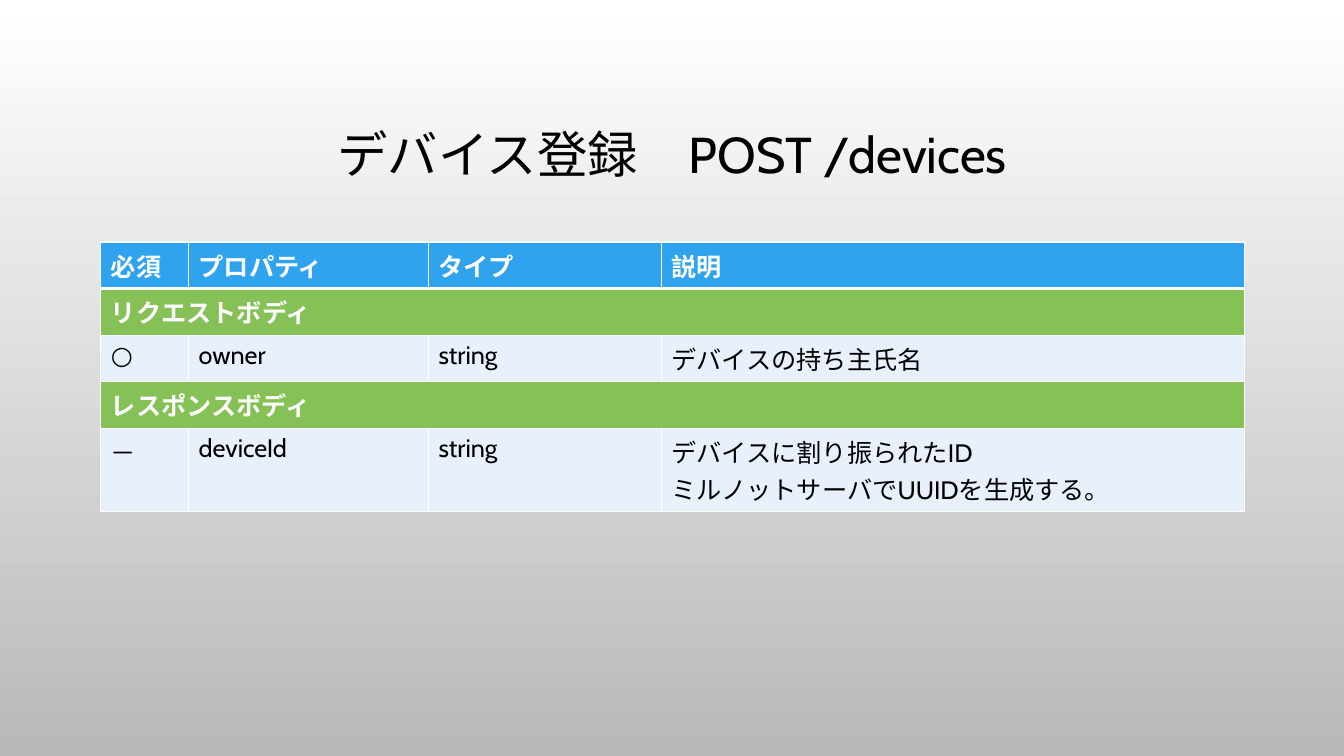
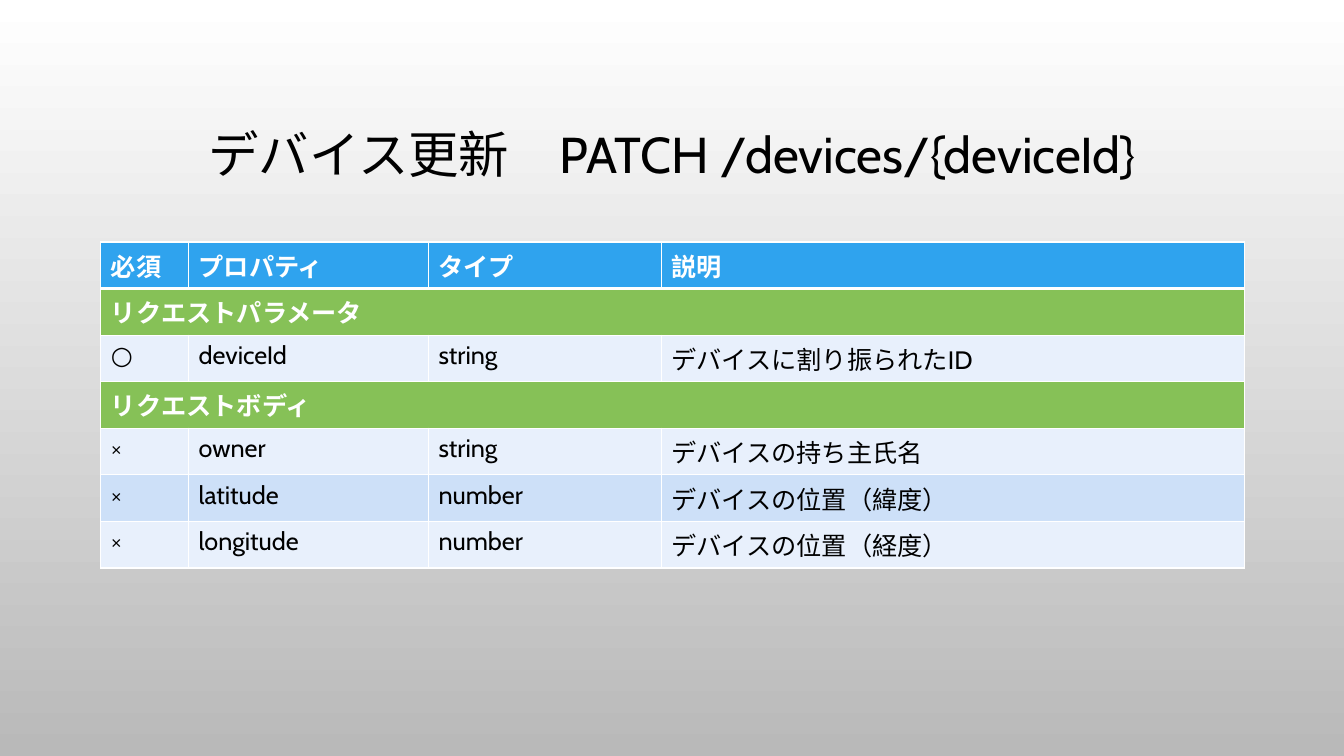
"""Build two API reference slides, each with a title and a property table."""
from dataclasses import dataclass

from pptx import Presentation
from pptx import util as u
from pptx.dml.color import RGBColor
from pptx.enum import text
from pptx.oxml import ns, xmlchemy

COLORS = {
    "top": "FFFFFF", "bottom": "B9B9B9", "ink": "000000", "white": "FFFFFF",
    "header": "2FA3EE", "section": "86C157", "light": "E8F0FC", "band": "CDE0F8",
}
FONT = "Cabin"
TITLE_SIZE = 36
TABLE_SIZE = 18
HEADINGS = ("必須", "プロパティ", "タイプ", "説明")
COLUMN_WIDTHS = (0.87, 2.38, 2.31, 5.78)
LEFT, WIDTH = 1, 11.33
TABLE_TOP, ROW_HEIGHT = 2.4, 0.41
THIN, THICK = 1, 3


@dataclass(frozen=True)
class Property:
    required: str
    name: str
    kind: str
    description: str


@dataclass(frozen=True)
class Section:
    heading: str
    properties: tuple[Property, ...]


@dataclass(frozen=True)
class Endpoint:
    title: str
    sections: tuple[Section, ...]


ENDPOINTS = (
    Endpoint("デバイス登録　POST /devices", (
        Section("リクエストボディ", (
            Property("○", "owner", "string", "デバイスの持ち主氏名"),
        )),
        Section("レスポンスボディ", (
            Property("－", "deviceId", "string",
                     "デバイスに割り振られたID\nミルノットサーバでUUIDを生成する。"),
        )),
    )),
    Endpoint("デバイス更新　PATCH /devices/{deviceId}", (
        Section("リクエストパラメータ", (
            Property("○", "deviceId", "string", "デバイスに割り振られたID"),
        )),
        Section("リクエストボディ", (
            Property("×", "owner", "string", "デバイスの持ち主氏名"),
            Property("×", "latitude", "number", "デバイスの位置（緯度）"),
            Property("×", "longitude", "number", "デバイスの位置（経度）"),
        )),
    )),
)


def rgb(name: str) -> RGBColor:
    return RGBColor.from_string(COLORS[name])


def style_background(deck) -> None:
    fill = deck.slide_master.background.fill
    fill.gradient()
    fill.gradient_angle = 270
    for stop, name in zip(fill.gradient_stops, ("top", "bottom")):
        stop.color.rgb = rgb(name)


def style_font(font, size: int, color: str, bold: bool = False) -> None:
    font.name = FONT
    font.size = u.Pt(size)
    font.bold = bold
    font.color.rgb = rgb(color)


def add_title(page, wording: str) -> None:
    box = page.shapes.title
    box.left, box.top = u.Inches(LEFT), u.Inches(0.68)
    box.width, box.height = u.Inches(WIDTH), u.Inches(1.75)
    frame = box.text_frame
    frame.text = wording
    frame.vertical_anchor = text.MSO_ANCHOR.MIDDLE
    frame.auto_size = text.MSO_AUTO_SIZE.NONE
    para = frame.paragraphs[0]
    para.alignment = text.PP_ALIGN.CENTER
    para.line_spacing = 0.9
    style_font(para.font, TITLE_SIZE, "ink")


def add_borders(cell, top: int, bottom: int) -> None:
    properties = cell._tc.get_or_add_tcPr()
    widths = {"a:lnL": THIN, "a:lnR": THIN, "a:lnT": top, "a:lnB": bottom}
    for tag, width in widths.items():
        line = xmlchemy.OxmlElement(tag)
        line.set("w", str(u.Pt(width)))
        fill = xmlchemy.OxmlElement("a:solidFill")
        color = xmlchemy.OxmlElement("a:srgbClr")
        color.set("val", COLORS["white"])
        fill.append(color)
        line.append(fill)
        properties.append(line)


def fill_row(table, index: int, wordings: tuple[str, ...], fill: str,
             emphasized: bool) -> None:
    top = THICK if index == 1 else THIN
    bottom = THICK if index == 0 else THIN
    for column in range(len(HEADINGS)):
        cell = table.cell(index, column)
        add_borders(cell, top, bottom)
        cell.fill.solid()
        cell.fill.fore_color.rgb = rgb(fill)
        if column < len(wordings):
            cell.text_frame.text = wordings[column]
        for para in cell.text_frame.paragraphs:
            style_font(para.font, TABLE_SIZE, "white" if emphasized else "ink", emphasized)
    if len(wordings) == 1:
        table.cell(index, 0).merge(table.cell(index, len(HEADINGS) - 1))


def add_property_table(page, sections: tuple[Section, ...]) -> None:
    rows = [(HEADINGS, "header", True)]
    for section in sections:
        rows.append(((section.heading,), "section", True))
        for item in section.properties:
            fill = "band" if len(rows) % 2 else "light"
            wordings = (item.required, item.name, item.kind, item.description)
            rows.append((wordings, fill, False))
    table = page.shapes.add_table(
        len(rows), len(HEADINGS), u.Inches(LEFT), u.Inches(TABLE_TOP),
        u.Inches(WIDTH), u.Inches(ROW_HEIGHT * len(rows))).table
    for column, width in zip(table.columns, COLUMN_WIDTHS):
        column.width = u.Inches(width)
    for index, (wordings, fill, emphasized) in enumerate(rows):
        table.rows[index].height = u.Inches(ROW_HEIGHT)
        fill_row(table, index, wordings, fill, emphasized)


def build_deck() -> None:
    deck = Presentation()
    deck.slide_width, deck.slide_height = u.Inches(13.33), u.Inches(7.5)
    style_background(deck)
    title_only = deck.slide_layouts.get_by_name("Title Only")
    for endpoint in ENDPOINTS:
        page = deck.slides.add_slide(title_only)
        add_title(page, endpoint.title)
        add_property_table(page, endpoint.sections)
    deck.save("out.pptx")


build_deck()
